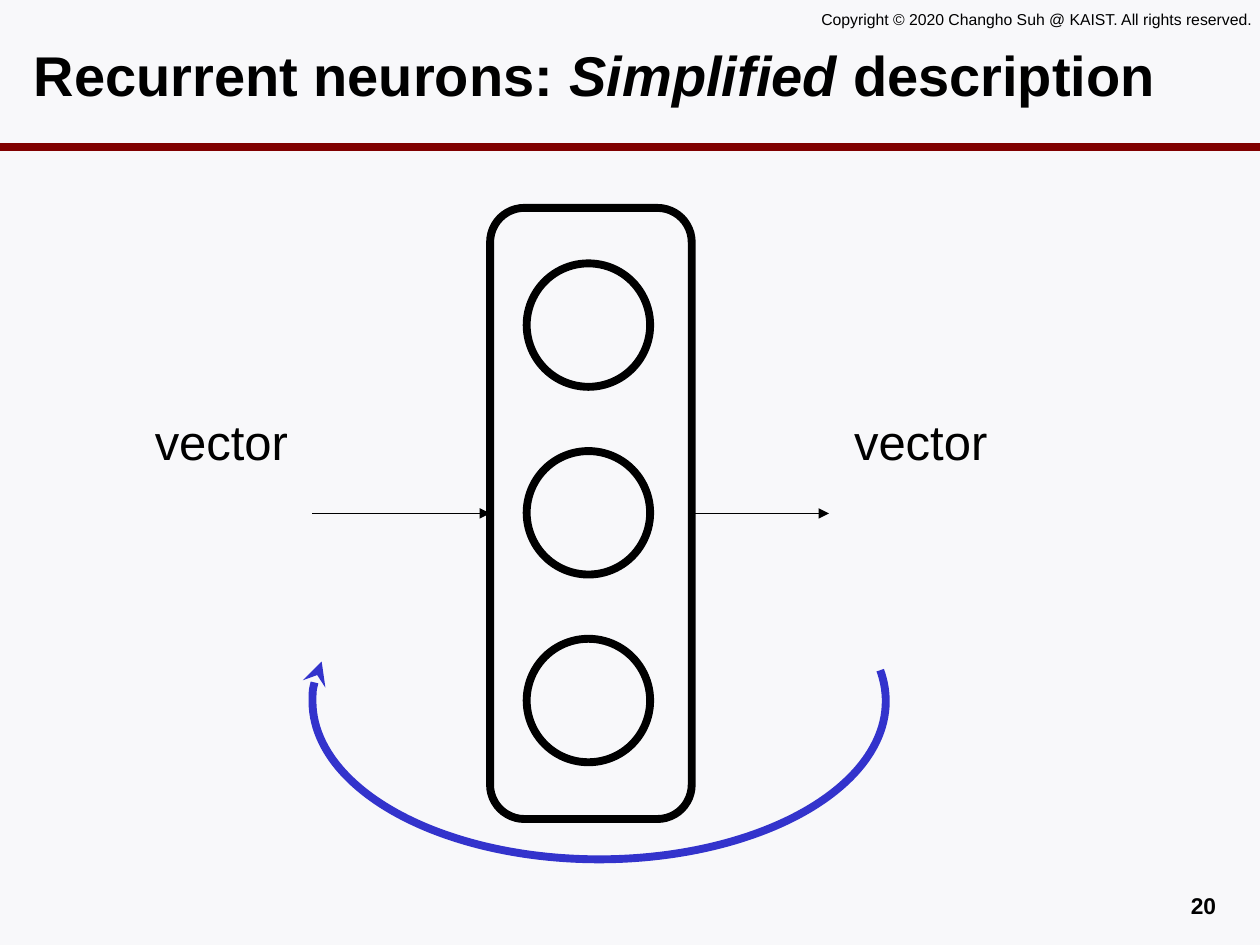
import pptx
import pptx.util
import pptx.dml.color
import pptx.enum.shapes
import pptx.enum.text
import pptx.oxml
import pptx.oxml.ns

RGBColor = pptx.dml.color.RGBColor
BLACK = RGBColor(0x00, 0x00, 0x00)
PAPER = RGBColor(0xF8, 0xF8, 0xFA)
MAROON = RGBColor(0x80, 0x00, 0x00)
BLUE = RGBColor(0x33, 0x33, 0xCC)

SHAPE = pptx.enum.shapes.MSO_SHAPE
ALIGN = pptx.enum.text.PP_ALIGN
ANCHOR = pptx.enum.text.MSO_ANCHOR
COLS, ROWS = 100, 75
THICK, THIN = 4.5, 0.75


class Sketch:
    """Style and current slide; lengths are columns and rows of the grid."""

    font = "Arial"

    def __init__(self, deck):
        self.slide = deck.slides.add_slide(deck.slide_layouts[6])
        self.col = deck.slide_width / COLS
        self.row = deck.slide_height / ROWS
        fill = self.slide.background.fill
        fill.solid()
        fill.fore_color.rgb = PAPER

    def scale(self, *spots):
        units = (self.col, self.row)
        return [round(spot * units[i % 2]) for i, spot in enumerate(spots)]

    def stroke(self, item, color, width, head=None):
        item.line.color.rgb = color
        item.line.width = pptx.util.Pt(width)
        if head:
            tag = pptx.oxml.ns.qn("a:tailEnd")
            end = item.line._get_or_add_ln().makeelement(tag, {"type": head})
            item.line._get_or_add_ln().append(end)

    def text(self, box, runs, size, bold=False, align=ALIGN.LEFT,
             anchor=ANCHOR.TOP, wrap=True):
        frame = self.slide.shapes.add_textbox(*self.scale(*box)).text_frame
        frame.word_wrap = wrap
        frame.vertical_anchor = anchor
        para = frame.paragraphs[0]
        para.alignment = align
        for words, slant in runs:
            run = para.add_run()
            run.text = words
            form = {"name": self.font, "size": pptx.util.Pt(size),
                    "bold": bold, "italic": slant}
            for key, value in form.items():
                setattr(run.font, key, value)
            run.font.color.rgb = BLACK

    def shape(self, kind, box, color=BLACK, tune=(), turn=0, head=None):
        item = self.slide.shapes.add_shape(kind, *self.scale(*box))
        item.shadow.inherit = False
        item.fill.background()
        item.rotation = turn
        for i, value in enumerate(tune):
            item.adjustments[i] = value
        self.stroke(item, color, THICK, head)
        return item

    def line(self, start, stop, color=BLACK, width=THIN, head=None):
        kind = pptx.enum.shapes.MSO_CONNECTOR.STRAIGHT
        item = self.slide.shapes.add_connector(
            kind, *self.scale(*start, *stop))
        item._element.spPr.append(
            pptx.oxml.parse_xml("<a:effectLst %s/>" % pptx.oxml.ns.nsdecls("a")))
        self.stroke(item, color, width, head)
        return item


def main():
    deck = pptx.Presentation()
    deck.slide_width = pptx.util.Inches(10)
    deck.slide_height = pptx.util.Inches(7.5)
    page = Sketch(deck)

    # Header and page number
    page.line((0, 11.7), (COLS, 11.7), MAROON, THICK)
    page.text((64.2, 0.3, 37.3, 2.5),
              [("Copyright © 2020 Changho Suh @ KAIST. All rights reserved.",
                False)], 9, wrap=False)
    page.text((1.7, 1.7, 95.6, 8.3),
              [("Recurrent neurons: ", False), ("Simplified", True),
               (" description", False)], 32, bold=True, anchor=ANCHOR.MIDDLE)
    page.text((74.2, 70.3, 23.3, 2.7), [("20", False)], 13, bold=True,
              align=ALIGN.RIGHT)

    # Neurons in one layer
    for i in range(3):
        page.shape(SHAPE.OVAL, (41.8, 20.9 + 14.9 * i, 9.8, 9.8))

    # Feedback loop
    page.shape(SHAPE.ARC, (24.8, 43.1, 45.5, 25.1), BLUE,
               tune=(104.22, 4.88), turn=180, head="stealth")
    layer = page.shape(SHAPE.ROUNDED_RECTANGLE, (38.9, 16.5, 16, 48.5),
                       tune=(0.17,))

    # Input and output vectors
    for left in (11.3, 66.8):
        page.text((left, 32.2, 13.5, 6.8), [("vector", False)], 28)
    mid = 40.75
    feed = page.line((24.8, mid), (38.9, mid), head="triangle")
    feed.end_connect(layer, 1)
    send = page.line((54.9, mid), (65.8, mid), head="triangle")
    send.begin_connect(layer, 3)

    deck.save("out.pptx")


if __name__ == "__main__":
    main()
